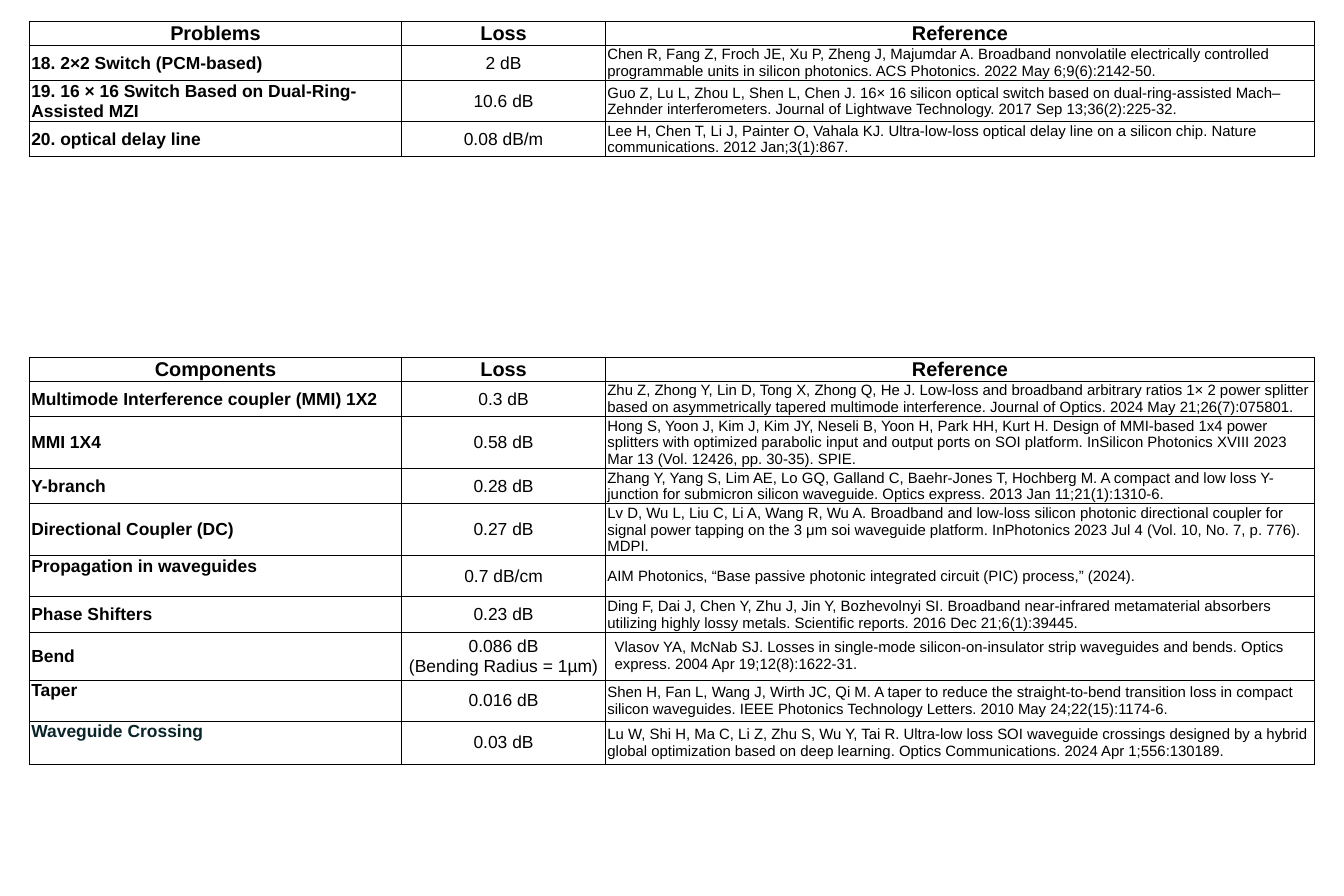
"""Build a slide with two tables of photonic losses and their references."""
from dataclasses import dataclass

from lxml import etree
from pptx import Presentation
from pptx.dml.color import RGBColor
from pptx.enum.text import MSO_ANCHOR, PP_ALIGN
from pptx.oxml.ns import qn
from pptx.slide import Slide
from pptx.table import _Cell
from pptx.util import Pt

LEFT, CENTER = PP_ALIGN.LEFT, PP_ALIGN.CENTER
TOP, MIDDLE = MSO_ANCHOR.TOP, MSO_ANCHOR.MIDDLE

BLACK = RGBColor(0x00, 0x00, 0x00)
DARK_TEAL = RGBColor(0x09, 0x25, 0x29)

FONT = "Arial"
TABLE_LEFT = 23.7
COLUMN_WIDTHS = (299, 164, 569.5)
HEADER_HEIGHT = 19.3
TWO_LINES, THREE_LINES = 28.1, 41.8
TIGHT_INSETS = (1.44, 0.72)
WIDE_INSETS = (7.2, 5.76)


@dataclass(frozen=True)
class LossRow:
    """One table row with its layout."""

    name: str
    loss: str
    reference: str
    height: float = TWO_LINES
    name_anchor: MSO_ANCHOR = MIDDLE
    name_color: RGBColor = BLACK
    reference_anchor: MSO_ANCHOR = MIDDLE
    reference_insets: tuple[float, float] = TIGHT_INSETS


@dataclass(frozen=True)
class LossTable:
    """A table with its top edge, first heading and rows."""

    top: float
    heading: str
    rows: tuple[LossRow, ...]


PROBLEMS = LossTable(17.2, "Problems", (
    LossRow("18. 2×2 Switch (PCM‑based)", "2 dB",
            "Chen R, Fang Z, Froch JE, Xu P, Zheng J, Majumdar A. Broadband nonvolatile "
            "electrically controlled programmable units in silicon photonics. "
            "ACS Photonics. 2022 May 6;9(6):2142-50."),
    LossRow("19. 16 × 16 Switch Based on Dual-Ring-Assisted MZI", "10.6 dB",
            "Guo Z, Lu L, Zhou L, Shen L, Chen J. 16× 16 silicon optical switch based on "
            "dual-ring-assisted Mach–Zehnder interferometers. "
            "Journal of Lightwave Technology. 2017 Sep 13;36(2):225-32.", height=33),
    LossRow("20. optical delay line", "0.08 dB/m",
            "Lee H, Chen T, Li J, Painter O, Vahala KJ. Ultra-low-loss optical delay line "
            "on a silicon chip. Nature communications. 2012 Jan;3(1):867."),
))

COMPONENTS = LossTable(287.2, "Components", (
    LossRow("Multimode Interference coupler (MMI) 1X2", "0.3 dB",
            "Zhu Z, Zhong Y, Lin D, Tong X, Zhong Q, He J. Low-loss and broadband arbitrary "
            "ratios 1× 2 power splitter based on asymmetrically tapered multimode "
            "interference. Journal of Optics. 2024 May 21;26(7):075801."),
    LossRow("MMI 1X4", "0.58 dB",
            "Hong S, Yoon J, Kim J, Kim JY, Neseli B, Yoon H, Park HH, Kurt H. Design of "
            "MMI-based 1x4 power splitters with optimized parabolic input and output ports "
            "on SOI platform. InSilicon Photonics XVIII 2023 Mar 13 (Vol. 12426, pp. 30-35). "
            "SPIE.", height=THREE_LINES),
    LossRow("Y-branch", "0.28 dB",
            "Zhang Y, Yang S, Lim AE, Lo GQ, Galland C, Baehr-Jones T, Hochberg M. A compact "
            "and low loss Y-junction for submicron silicon waveguide. Optics express. "
            "2013 Jan 11;21(1):1310-6."),
    LossRow("Directional Coupler (DC)", "0.27 dB",
            "Lv D, Wu L, Liu C, Li A, Wang R, Wu A. Broadband and low-loss silicon photonic "
            "directional coupler for signal power tapping on the 3 μm soi waveguide "
            "platform. InPhotonics 2023 Jul 4 (Vol. 10, No. 7, p. 776). MDPI.",
            height=THREE_LINES),
    LossRow("Propagation in waveguides", "0.7 dB/cm",
            "AIM Photonics, “Base passive photonic integrated circuit (PIC) process,” (2024).",
            height=33, name_anchor=TOP),
    LossRow("Phase Shifters", "0.23 dB",
            "Ding F, Dai J, Chen Y, Zhu J, Jin Y, Bozhevolnyi SI. Broadband near-infrared "
            "metamaterial absorbers utilizing highly lossy metals. Scientific reports. "
            "2016 Dec 21;6(1):39445."),
    LossRow("Bend", "0.086 dB\n(Bending Radius = 1µm)",
            "Vlasov YA, McNab SJ. Losses in single-mode silicon-on-insulator strip "
            "waveguides and bends. Optics express. 2004 Apr 19;12(8):1622-31.",
            height=38.6, reference_anchor=TOP, reference_insets=WIDE_INSETS),
    LossRow("Taper", "0.016 dB",
            "Shen H, Fan L, Wang J, Wirth JC, Qi M. A taper to reduce the straight-to-bend "
            "transition loss in compact silicon waveguides. "
            "IEEE Photonics Technology Letters. 2010 May 24;22(15):1174-6.",
            height=33, name_anchor=TOP),
    LossRow("Waveguide Crossing", "0.03 dB",
            "Lu W, Shi H, Ma C, Li Z, Zhu S, Wu Y, Tai R. Ultra-low loss SOI waveguide "
            "crossings designed by a hybrid global optimization based on deep learning. "
            "Optics Communications. 2024 Apr 1;556:130189.",
            height=34.6, name_anchor=TOP, name_color=DARK_TEAL),
))


def add_borders(cell: _Cell) -> None:
    """Give a cell a thin black line on every side."""
    properties = cell._tc.get_or_add_tcPr()
    for side in ("a:lnL", "a:lnR", "a:lnT", "a:lnB"):
        line = etree.SubElement(properties, qn(side), w=str(Pt(1)))
        fill = etree.SubElement(line, qn("a:solidFill"))
        etree.SubElement(fill, qn("a:srgbClr"), val=str(BLACK))


def write_cell(cell: _Cell, text: str, size: float, bold: bool = False,
               alignment: PP_ALIGN = LEFT, anchor: MSO_ANCHOR = MIDDLE,
               color: RGBColor = BLACK,
               insets: tuple[float, float] = TIGHT_INSETS) -> None:
    """Fill one cell with formatted text."""
    add_borders(cell)
    cell.fill.background()
    cell.margin_left = cell.margin_right = Pt(insets[0])
    cell.margin_top = cell.margin_bottom = Pt(insets[1])
    cell.vertical_anchor = anchor
    cell.text_frame.text = text
    for paragraph in cell.text_frame.paragraphs:
        paragraph.alignment = alignment
        paragraph.font.name = FONT
        paragraph.font.size = Pt(size)
        paragraph.font.bold = bold
        paragraph.font.color.rgb = color


def add_loss_table(slide: Slide, content: LossTable) -> None:
    """Add one table with its heading row and loss rows."""
    heights = [HEADER_HEIGHT] + [row.height for row in content.rows]
    table = slide.shapes.add_table(
        len(heights), len(COLUMN_WIDTHS), Pt(TABLE_LEFT), Pt(content.top),
        Pt(sum(COLUMN_WIDTHS)), Pt(sum(heights))).table
    table.first_row = table.horz_banding = False
    for column, width in zip(table.columns, COLUMN_WIDTHS):
        column.width = Pt(width)
    for table_row, height in zip(table.rows, heights):
        table_row.height = Pt(height)
    for index, heading in enumerate((content.heading, "Loss", "Reference")):
        write_cell(table.cell(0, index), heading, 16, bold=True, alignment=CENTER)
    for index, row in enumerate(content.rows, start=1):
        write_cell(table.cell(index, 0), row.name, 14, bold=True,
                   anchor=row.name_anchor, color=row.name_color)
        write_cell(table.cell(index, 1), row.loss, 14, alignment=CENTER)
        write_cell(table.cell(index, 2), row.reference, 12,
                   anchor=row.reference_anchor, insets=row.reference_insets)


def main() -> None:
    """Create and save the presentation."""
    presentation = Presentation()
    presentation.slide_width = Pt(1080)
    presentation.slide_height = Pt(720)
    slide = presentation.slides.add_slide(presentation.slide_layouts[6])
    for content in (PROBLEMS, COMPONENTS):
        add_loss_table(slide, content)
    presentation.save("out.pptx")


if __name__ == "__main__":
    main()
